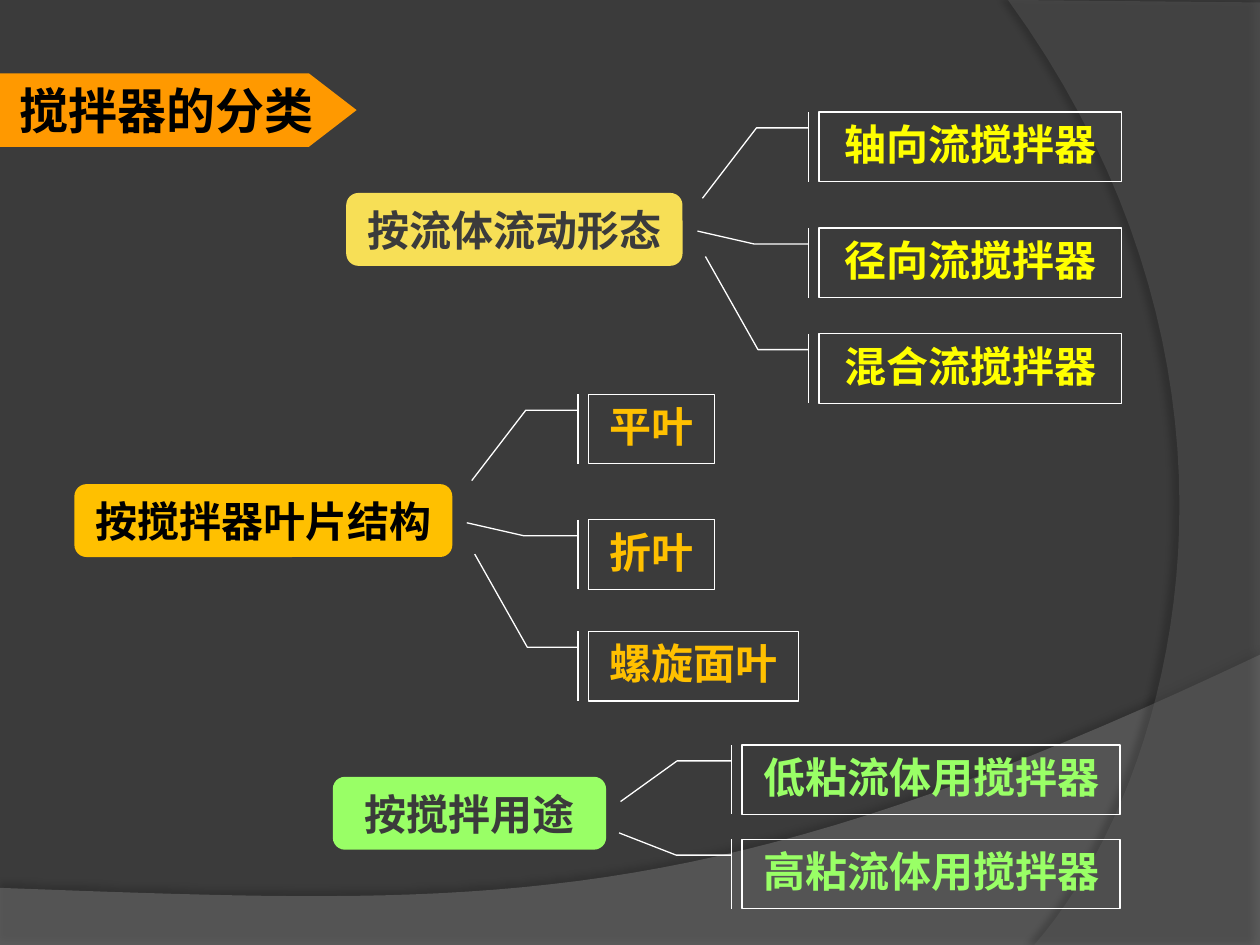
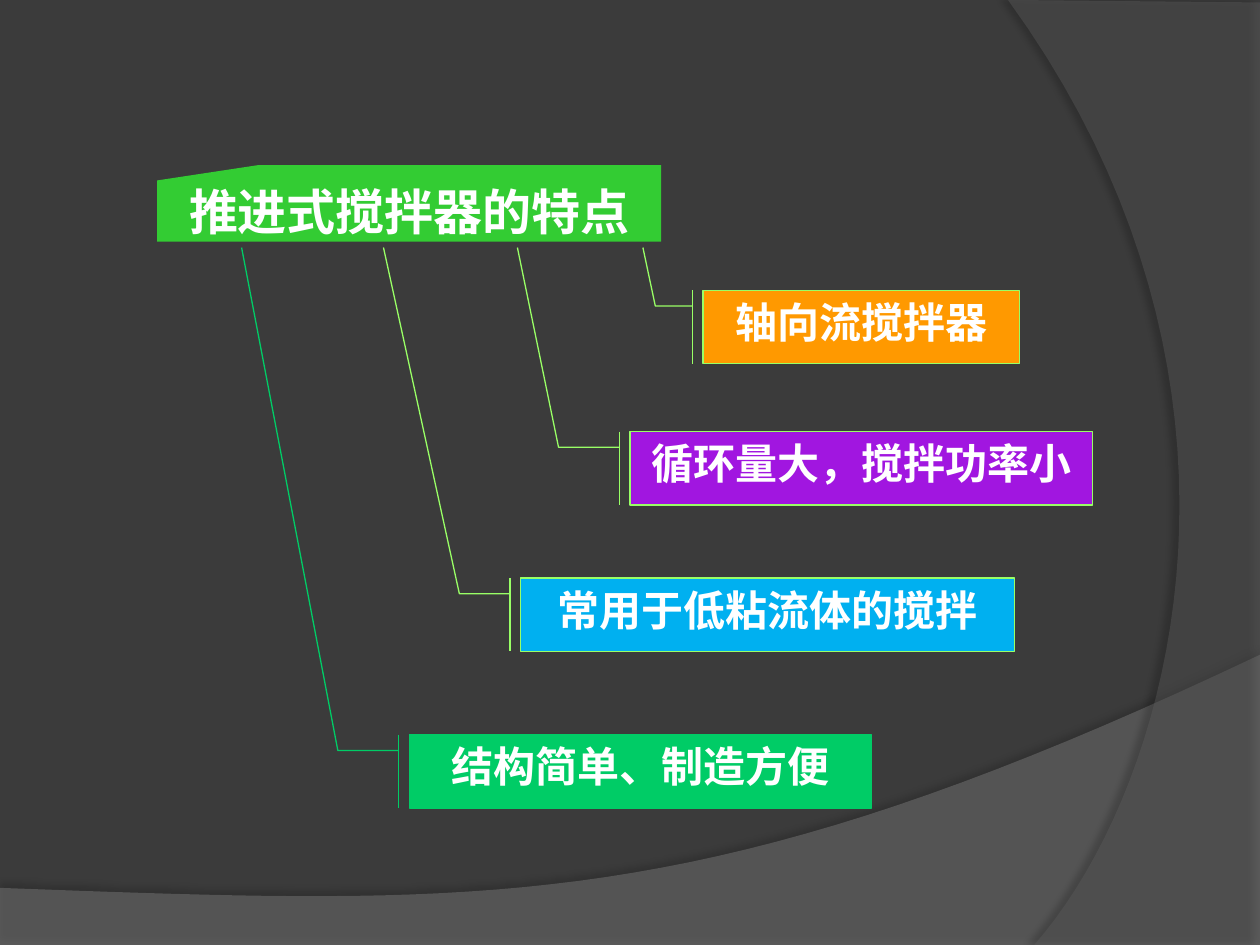
from pptx import Presentation
from pptx.dml.color import RGBColor
from pptx.enum.shapes import MSO_SHAPE
from pptx.enum.text import MSO_ANCHOR, MSO_AUTO_SIZE, PP_ALIGN
from pptx.oxml import parse_xml
from pptx.oxml.ns import nsdecls
from pptx.util import Cm, Pt

FONT = "Times New Roman"
COLORS = {
    "background": "3B3B3B", "lower band": "7F7F7F", "right band": "5E5E5E",
    "black": "000000", "white": "FFFFFF", "orange": "FF9900", "pale": "F7DF56",
    "yellow": "FFFF00", "amber": "FFC000", "lime": "99FF66", "green": "33CC33",
    "purple": "A116E0", "blue": "00B0F0", "emerald": "00CC66",
}

# All lengths below are in centimetres.
# Bands: straight points, then the curve from the last one; shadow is
# (opacity %, blur pt, distance pt, direction degrees)
BANDS = [
    {"color": "lower band", "opacity": 45, "shadow": (35, 4, 3.5, 270),
     "corners": [(0, 17.9), (0, 19.07), (25.4, 19.07), (25.4, 13.2)],
     "curve": [(14.2, 18.52), (9.93, 18.26), (0, 17.9)]},
    {"color": "right band", "opacity": 40, "shadow": (45, 4, 4, 180),
     "corners": [(25.4, 0.05), (25.4, 19.05), (20.85, 19.05)],
     "curve": [(23.75, 15.72), (25.86, 7.62), (20.32, 0)]},
]

# Leaders: elbow and tip distance to the left of the box, tip below its top
THREE_WAY = [(1.26, 2.35, 1.74), (1.31, 2.45, 0.06), (1.23, 2.29, -1.56)]
TWO_WAY = [(1.31, 2.45, 1.14), (1.33, 2.48, -0.13)]

CLASSES_TITLE = "搅拌器的分类"
CLASSES = [
    {"name": "按流体流动形态", "at": (6.98, 3.89, 6.78), "fill": "pale",
     "color": "background", "kind color": "yellow", "left": 16.51, "leaders": THREE_WAY,
     "kinds": [("轴向流搅拌器", 2.26, 6.1), ("径向流搅拌器", 4.6, 6.1),
               ("混合流搅拌器", 6.73, 6.1)]},
    {"name": "按搅拌器叶片结构", "at": (1.5, 9.76, 7.62), "fill": "amber",
     "color": "black", "kind color": "amber", "left": 11.86, "leaders": THREE_WAY,
     "kinds": [("平叶", 7.95, 2.54), ("折叶", 10.48, 2.54), ("螺旋面叶", 12.73, 4.24)]},
    {"name": "按搅拌用途", "at": (6.71, 15.66, 5.51), "fill": "lime",
     "color": "background", "kind color": "lime", "left": 14.96, "leaders": TWO_WAY,
     "kinds": [("低粘流体用搅拌器", 15.02, 7.62), ("高粘流体用搅拌器", 16.92, 7.62)]},
]

FEATURES_TITLE = "推进式搅拌器的特点"
FEATURES_TIP_TOP = 4.99
# text, (left, top, width), fill, line, elbow distance, tip distance
FEATURES = [
    ("轴向流搅拌器", (14.17, 5.85, 6.38), "orange", "lime", 0.96, 1.21),
    ("循环量大，搅拌功率小", (12.7, 8.7, 9.32), "purple", "lime", 1.44, 2.27),
    ("常用于低粘流体的搅拌", (10.49, 11.65, 9.96), "blue", "lime", 1.23, 2.76),
    ("结构简单、制造方便", (8.25, 14.81, 9.32), "emerald", "emerald", 1.44, 3.38),
]

PILL_HEIGHT, KIND_HEIGHT, FEATURE_HEIGHT = 1.47, 1.4, 1.48
ACCENT_GAP, LEADER_DROP = 0.21, 0.32


def rgb(name):
    return RGBColor.from_string(COLORS[name])


def write(shape, text, size, color, anchor=MSO_ANCHOR.MIDDLE):
    frame = shape.text_frame
    frame.text = text
    frame.word_wrap = False
    frame.auto_size = MSO_AUTO_SIZE.NONE
    frame.vertical_anchor = anchor
    paragraph = frame.paragraphs[0]
    paragraph.alignment = PP_ALIGN.CENTER
    font = paragraph.font
    font.name, font.size, font.bold = FONT, Pt(size), True
    font.color.rgb = rgb(color)


def add_box(slide, preset, at, fill=None, line=None):
    box = slide.shapes.add_shape(preset, *map(Cm, at))
    box.shadow.inherit = False
    if fill:
        box.fill.solid()
        box.fill.fore_color.rgb = rgb(fill)
    else:
        box.fill.background()
    if line:
        box.line.color.rgb = rgb(line)
        box.line.width = Pt(0.75)
    else:
        box.line.fill.background()
    return box


def add_callout(slide, text, at, leader, color, fill=None, line="white"):
    """Box with an accent bar and a bent leader; leader is (elbow, tip, tip drop)."""
    width, height = at[2:]
    elbow, tip, tip_drop = leader
    box = add_box(slide, MSO_SHAPE.LINE_CALLOUT_2_BORDER_AND_ACCENT_BAR, at, fill, line)
    bends = [(ACCENT_GAP, LEADER_DROP), (elbow, LEADER_DROP), (tip, tip_drop)]
    for i, (distance, drop) in enumerate(bends):
        box.adjustments[2 * i] = drop / height
        box.adjustments[2 * i + 1] = -distance / width
    write(box, text, 24, color, MSO_ANCHOR.TOP)


def add_title(slide, text, color, at, banner):
    """Put the title placeholder in front of its banner shape."""
    title = slide.shapes.title
    title.left, title.top, title.width, title.height = map(Cm, at)
    write(title, text, 28, color)
    title.element.addprevious(banner.element)


def curve_points(start, control1, control2, end, steps=40):
    for step in range(1, steps + 1):
        t = step / steps
        weights = ((1 - t) ** 3, 3 * t * (1 - t) ** 2, 3 * t * t * (1 - t), t ** 3)
        yield tuple(sum(w * p[axis] for w, p in zip(weights, (start, control1, control2, end)))
                    for axis in (0, 1))


def add_bands(slide, layout):
    """Build the bands on a slide and hand them to the layout that all slides share."""
    for index, band in enumerate(BANDS):
        corners = band["corners"]
        points = corners + list(curve_points(corners[-1], *band["curve"]))
        start, *rest = [(Cm(x), Cm(y)) for x, y in points]
        builder = slide.shapes.build_freeform(*start)
        builder.add_line_segments(rest, close=True)
        shape = builder.convert_to_shape()
        shape.line.fill.background()
        shape.fill.solid()
        shape.fill.fore_color.rgb = rgb(band["color"])
        shape.shadow.inherit = False
        tint = shape.element.xpath("./p:spPr/a:solidFill/a:srgbClr")[0]
        tint.append(parse_xml(f'<a:alpha {nsdecls("a")} val="{band["opacity"] * 1000}"/>'))
        opacity, blur, distance, direction = band["shadow"]
        shape.element.xpath("./p:spPr/a:effectLst")[0].append(parse_xml(
            f'<a:outerShdw {nsdecls("a")} blurRad="{Pt(blur)}" dist="{Pt(distance)}" '
            f'dir="{direction * 60000}" algn="ctr" rotWithShape="0">'
            f'<a:srgbClr val="{COLORS["black"]}"><a:alpha val="{opacity * 1000}"/></a:srgbClr>'
            '</a:outerShdw>'))
        layout.shapes.element.insert(2 + index, shape.element)


def build_classes(slide):
    banner = add_box(slide, MSO_SHAPE.PENTAGON, (0, 1.48, 7.19, 1.48), "orange")
    banner.adjustments[0] = 0.65
    add_title(slide, CLASSES_TITLE, "black", (0, 1.48, 6.71, 1.48), banner)
    for group in CLASSES:
        pill = add_box(slide, MSO_SHAPE.ROUNDED_RECTANGLE,
                       (*group["at"], PILL_HEIGHT), group["fill"])
        write(pill, group["name"], 24, group["color"])
        for (text, top, width), leader in zip(group["kinds"], group["leaders"]):
            add_callout(slide, text, (group["left"], top, width, KIND_HEIGHT),
                        leader, group["kind color"])


def build_features(slide):
    banner = add_box(slide, MSO_SHAPE.FLOWCHART_CARD, (3.17, 3.33, 10.16, 1.54), "green")
    add_title(slide, FEATURES_TITLE, "white", (3.17, 3.64, 10.16, 1.23), banner)
    for text, at, fill, line, elbow, tip in FEATURES:
        add_callout(slide, text, (*at, FEATURE_HEIGHT),
                    (elbow, tip, FEATURES_TIP_TOP - at[1]), "white", fill, line)


def main():
    deck = Presentation()
    deck.slide_width, deck.slide_height = Cm(25.4), Cm(19.05)
    backdrop = deck.slide_master.background.fill
    backdrop.solid()
    backdrop.fore_color.rgb = rgb("background")
    layout = deck.slide_layouts[5]
    classes_slide, features_slide = [deck.slides.add_slide(layout) for _ in range(2)]
    add_bands(classes_slide, layout)
    build_classes(classes_slide)
    build_features(features_slide)
    deck.save("out.pptx")


if __name__ == "__main__":
    main()
